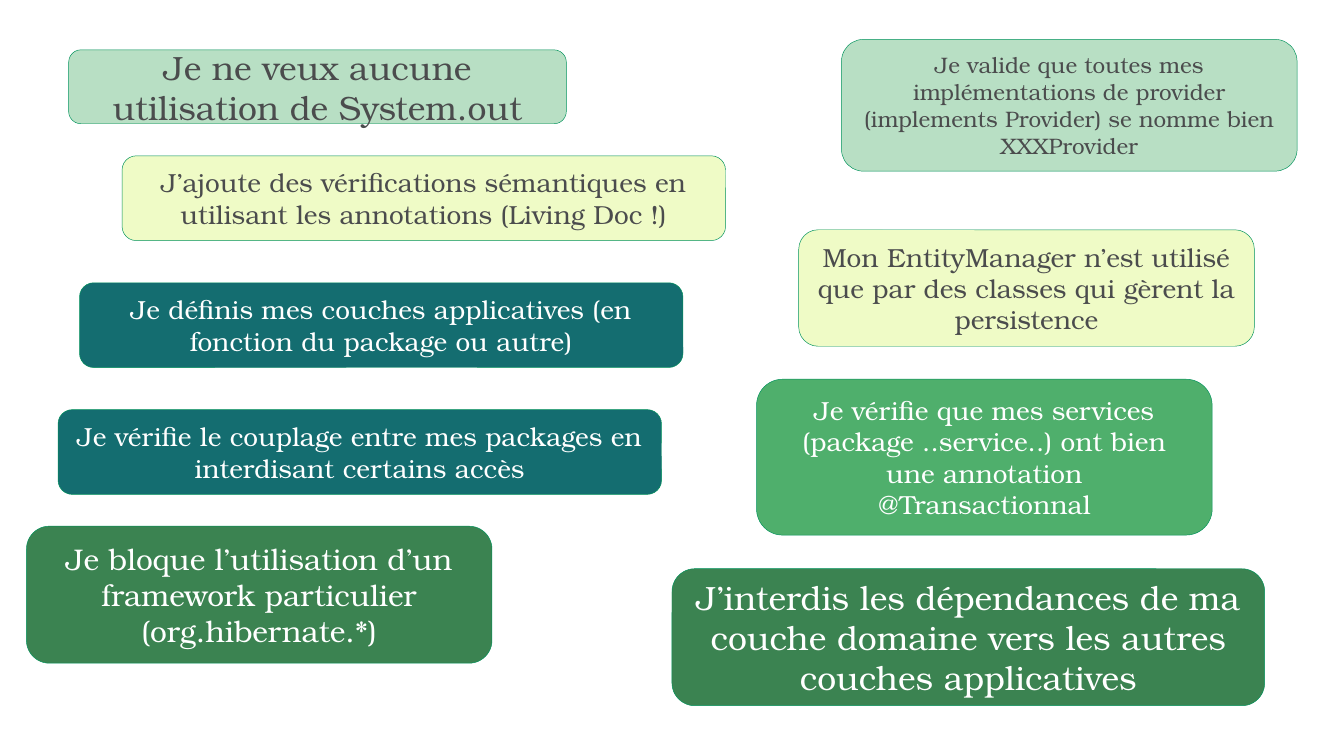
from dataclasses import dataclass

import pptx
import pptx.dml.color
import pptx.enum.shapes
import pptx.enum.text
import pptx.util


@dataclass(frozen=True)
class Theme:
    font: str = "TeX Gyre Bonum"
    dark: str = "4B4C4D"
    white: str = "FFFFFF"
    outline: str = "00925B"
    mint: str = "B8DFC4"
    lime: str = "EFFBC6"
    teal: str = "146D70"
    green: str = "4FAF6C"
    forest: str = "3B8351"
    large: int = 18
    medium: int = 16
    normal: int = 14
    small: int = 12
    outline_width: float = 0.25
    inset: float = 7.2


THEME = Theme()


@dataclass(frozen=True)
class RuleCard:
    """One architecture rule; lengths are in points."""
    text: str
    left: float
    top: float
    width: float
    height: float
    fill: str
    ink: str
    size: int


WIDE, WIDE_HEIGHT = 323.3, 45.4
WIDE_TOP, WIDE_STEP = 83.5, 68
RIGHT_WIDTH = 244.1
BOTTOM_HEIGHT = 73.4

WIDE_RULES = [
    ("J’ajoute des vérifications sémantiques en utilisant les annotations (Living Doc !)",
     65.4, THEME.lime, THEME.dark),
    ("Je définis mes couches applicatives (en fonction du package ou autre)",
     42.6, THEME.teal, THEME.white),
    ("Je vérifie le couplage entre mes packages en interdisant certains accès",
     31.1, THEME.teal, THEME.white),
]

CARDS = [
    RuleCard("Je ne veux aucune utilisation de System.out",
             36.8, 26.7, 266.6, 39.6, THEME.mint, THEME.dark, THEME.large),
    *(RuleCard(text, left, WIDE_TOP + row * WIDE_STEP, WIDE, WIDE_HEIGHT,
               fill, ink, THEME.normal)
      for row, (text, left, fill, ink) in enumerate(WIDE_RULES)),
    RuleCard("Je bloque l’utilisation d’un framework particulier (org.hibernate.*)",
             14.2, 281.9, 249.4, BOTTOM_HEIGHT, THEME.forest, THEME.white, THEME.medium),
    RuleCard("Je valide que toutes mes implémentations de provider "
             "(implements Provider) se nomme bien XXXProvider",
             450.8, 21.1, RIGHT_WIDTH, 70.6, THEME.mint, THEME.dark, THEME.small),
    RuleCard("Mon EntityManager n’est utilisé que par des classes qui gèrent la persistence",
             427.9, 123.1, RIGHT_WIDTH, 62.4, THEME.lime, THEME.dark, THEME.normal),
    RuleCard("Je vérifie que mes services (package ..service..) ont bien "
             "une annotation @Transactionnal",
             405.3, 203.2, RIGHT_WIDTH, 83.5, THEME.green, THEME.white, THEME.normal),
    RuleCard("J’interdis les dépendances de ma couche domaine "
             "vers les autres couches applicatives",
             360, 304.7, 317.5, BOTTOM_HEIGHT, THEME.forest, THEME.white, THEME.large),
]


def color(value: str) -> pptx.dml.color.RGBColor:
    return pptx.dml.color.RGBColor.from_string(value)


def draw_card(page: pptx.slide.Slide, card: RuleCard) -> None:
    box = page.shapes.add_shape(
        pptx.enum.shapes.MSO_SHAPE.ROUNDED_RECTANGLE,
        *map(pptx.util.Pt, (card.left, card.top, card.width, card.height)))
    box.shadow.inherit = False
    box.fill.solid()
    box.fill.fore_color.rgb = color(card.fill)
    box.line.color.rgb = color(THEME.outline)
    box.line.width = pptx.util.Pt(THEME.outline_width)

    frame = box.text_frame
    frame.word_wrap = True
    frame.vertical_anchor = pptx.enum.text.MSO_ANCHOR.MIDDLE
    frame.margin_left = frame.margin_right = pptx.util.Pt(THEME.inset)
    frame.margin_top = frame.margin_bottom = pptx.util.Pt(THEME.inset)

    para = frame.paragraphs[0]
    para.text = card.text
    para.alignment = pptx.enum.text.PP_ALIGN.CENTER
    para.font.name = THEME.font
    para.font.size = pptx.util.Pt(card.size)
    para.font.color.rgb = color(card.ink)


def main() -> None:
    deck = pptx.Presentation()
    deck.slide_width = pptx.util.Pt(720)
    deck.slide_height = pptx.util.Pt(405)
    page = deck.slides.add_slide(deck.slide_layouts[6])
    for card in CARDS:
        draw_card(page, card)
    deck.save("out.pptx")


if __name__ == "__main__":
    main()
